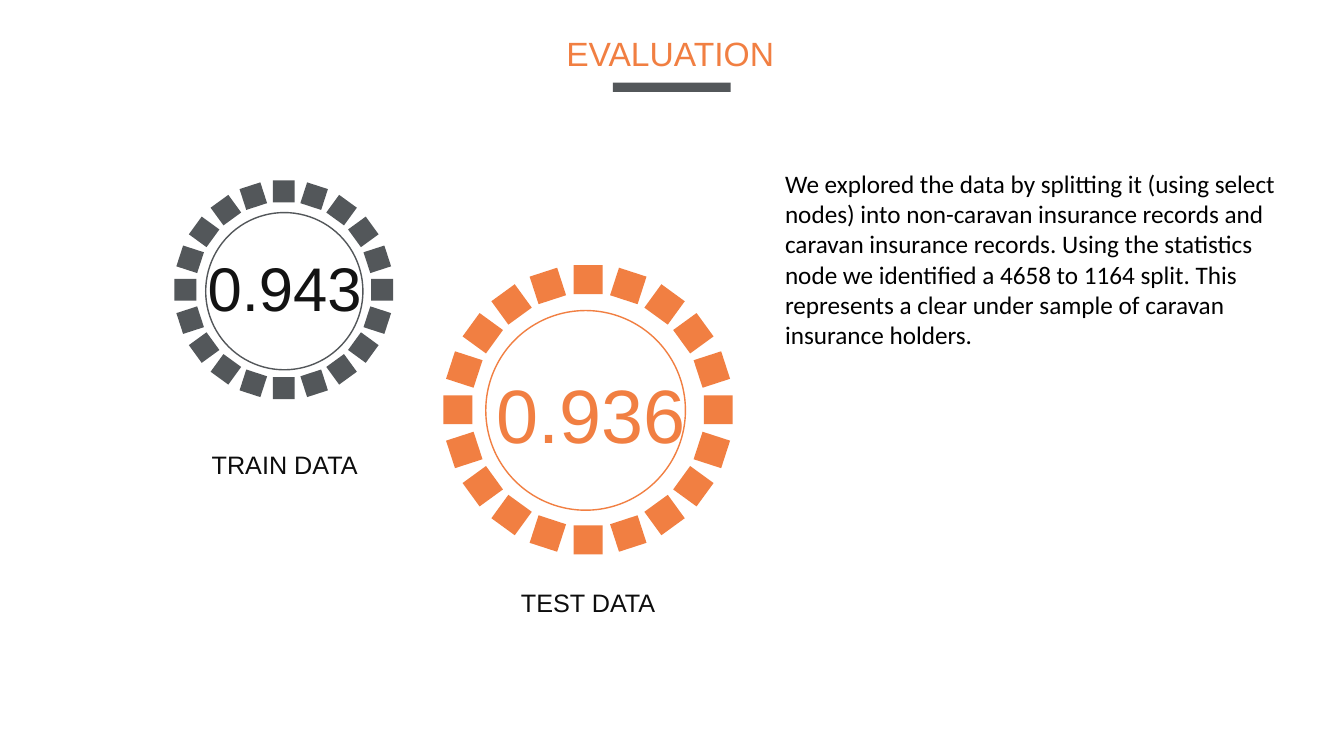
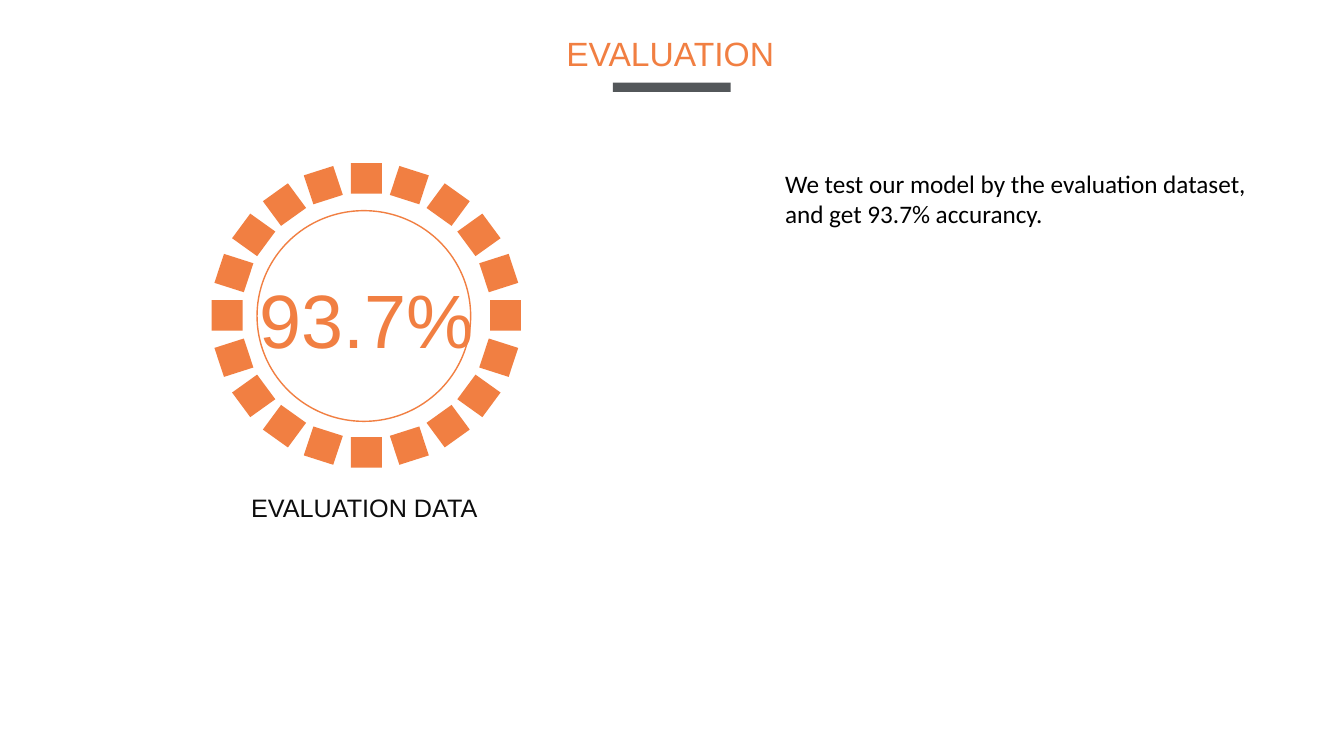
from dataclasses import dataclass
from math import cos, pi, sin

from pptx import Presentation
from pptx.dml.color import RGBColor
from pptx.enum.shapes import MSO_SHAPE
from pptx.enum.text import MSO_AUTO_SIZE, PP_ALIGN
from pptx.util import Pt


@dataclass(frozen=True)
class Theme:
    orange: str = "F17F42"
    slate: str = "53575A"
    ink: str = "0D0D0D"
    value_ink: str = "131313"
    black: str = "000000"
    heading_font: str = "Arial"
    body_font: str = "Calibri"
    title_size: int = 24
    text_size: int = 18
    small_value_size: int = 44
    large_value_size: int = 54


@dataclass(frozen=True)
class Box:
    left: float
    top: float
    width: float
    height: float

    def points(self):
        return [Pt(v) for v in (self.left, self.top, self.width, self.height)]

    def inner(self, size, shift=(0, 0)):
        width, height = size
        return Box(self.left + (self.width - width) / 2 + shift[0],
                   self.top + (self.height - height) / 2 + shift[1], width, height)


@dataclass(frozen=True)
class Dial:
    box: Box
    color: str
    circle_size: tuple
    circle_shift: tuple
    value: str
    value_color: str
    value_points: int
    value_size: tuple
    value_shift: tuple
    label: str
    label_width: float
    label_shift: float
    label_gap: float


THEME = Theme()
TITLE_BOX = Box(397.4, 20.2, 164.2, 36)
BODY_BOX = Box(553.7, 116.6, 374.4, 138.2)
LABEL_HEIGHT = 28.8
TICK_COUNT = 20
TICK_SIDE = 0.1

TRAIN = Dial(Box(124.6, 128.9, 156.2, 156.2), THEME.slate, (112.3, 112.3), (0.4, 1),
             "0.943", THEME.value_ink, THEME.small_value_size, (126, 60.5), (0.7, -1.8),
             "TRAIN DATA", 120.2, 0.7, 32.4)
TEST = Dial(Box(316.8, 189.4, 206.6, 206.6), THEME.orange, (142.6, 142.6), (-1.8, 0.4),
            "0.936", THEME.orange, THEME.large_value_size, (151.2, 72.7), (1.8, 2.9),
            "TEST DATA", 111.6, 0, 20.2)
FINAL = Dial(Box(151.2, 116.6, 221, 217.4), THEME.orange, (152.6, 150.5), (-1.8, 0.4),
             "93.7%", THEME.orange, THEME.large_value_size, (169.2, 72.7), (0, 2.6),
             "EVALUATION DATA", 177.8, -1.4, 14.4)

PAGES = [
    ([TRAIN, TEST],
     "We explored the data by splitting it (using select nodes) into non-caravan "
     "insurance records and caravan insurance records. Using the statistics node we "
     "identified a 4658 to 1164 split. This represents a clear under sample of "
     "caravan insurance holders."),
    ([FINAL], "We test our model by the evaluation dataset, and get 93.7% accurancy."),
]


def add_text(page, box, text, size, color, font=THEME.heading_font,
             align=PP_ALIGN.LEFT, wrap=False):
    frame = page.shapes.add_textbox(*box.points()).text_frame
    frame.word_wrap = wrap
    frame.auto_size = MSO_AUTO_SIZE.SHAPE_TO_FIT_TEXT
    para = frame.paragraphs[0]
    para.alignment = align
    span = para.add_run()
    span.text = text
    for name, value in {"name": font, "size": Pt(size)}.items():
        setattr(span.font, name, value)
    span.font.color.rgb = RGBColor.from_string(color)


def fill_shape(shape, color):
    shape.shadow.inherit = False
    shape.fill.solid()
    shape.fill.fore_color.rgb = RGBColor.from_string(color)
    shape.line.fill.background()


def tick_corners(box, angle):
    half = TICK_SIDE / 2
    radius = 0.5 - half
    corners = []
    for across, along in ((-half, -half), (half, -half), (half, half), (-half, half)):
        out = radius + along
        x = 0.5 + out * sin(angle) + across * cos(angle)
        y = 0.5 - out * cos(angle) + across * sin(angle)
        corners.append((Pt(box.left + x * box.width), Pt(box.top + y * box.height)))
    return corners


def add_ring(shapes, box, color):
    ticks = [tick_corners(box, 2 * pi * n / TICK_COUNT) for n in range(TICK_COUNT)]
    builder = shapes.build_freeform(*ticks[0][0], scale=1.0)
    for corners in ticks:
        if corners is not ticks[0]:
            builder.move_to(*corners[0])
        builder.add_line_segments(corners[1:], close=True)
    fill_shape(builder.convert_to_shape(), color)


def add_dial(page, dial):
    box = dial.box
    label_box = Box(box.left + (box.width - dial.label_width) / 2 + dial.label_shift,
                    box.top + box.height + dial.label_gap, dial.label_width, LABEL_HEIGHT)
    add_text(page, label_box, dial.label, THEME.text_size, THEME.ink,
             align=PP_ALIGN.CENTER)
    add_text(page, box.inner(dial.value_size, dial.value_shift), dial.value,
             dial.value_points, dial.value_color, align=PP_ALIGN.CENTER)
    group = page.shapes.add_group_shape()
    add_ring(group.shapes, box, dial.color)
    circle_box = box.inner(dial.circle_size, dial.circle_shift)
    circle = group.shapes.add_shape(MSO_SHAPE.OVAL, *circle_box.points())
    circle.shadow.inherit = False
    circle.fill.background()
    circle.line.color.rgb = RGBColor.from_string(dial.color)
    circle.line.width = Pt(1)


def add_title(page, box):
    add_text(page, box, "EVALUATION", THEME.title_size, THEME.orange)
    bar_box = Box(box.left + 40.4, box.top + 38.9, 84.2, 6.5)
    fill_shape(page.shapes.add_shape(MSO_SHAPE.RECTANGLE, *bar_box.points()), THEME.slate)


def add_page(deck, dials, body):
    page = deck.slides.add_slide(deck.slide_layouts[6])
    for dial in dials:
        add_dial(page, dial)
    add_title(page, TITLE_BOX)
    add_text(page, BODY_BOX, body, THEME.text_size, THEME.black,
             font=THEME.body_font, wrap=True)


def main():
    deck = Presentation()
    deck.slide_width, deck.slide_height = Pt(960), Pt(540)
    for dials, body in PAGES:
        add_page(deck, dials, body)
    deck.save("out.pptx")


if __name__ == "__main__":
    main()
